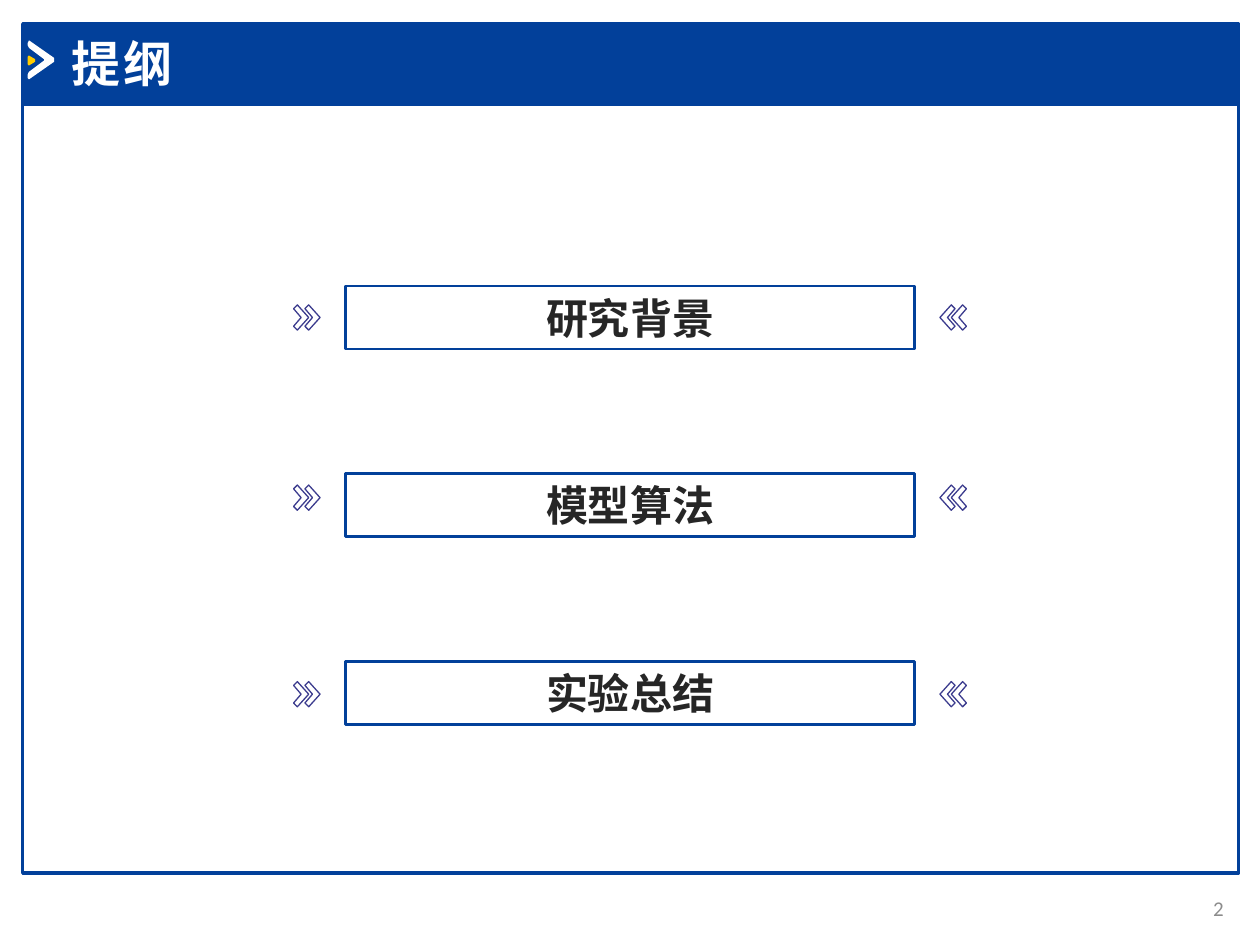
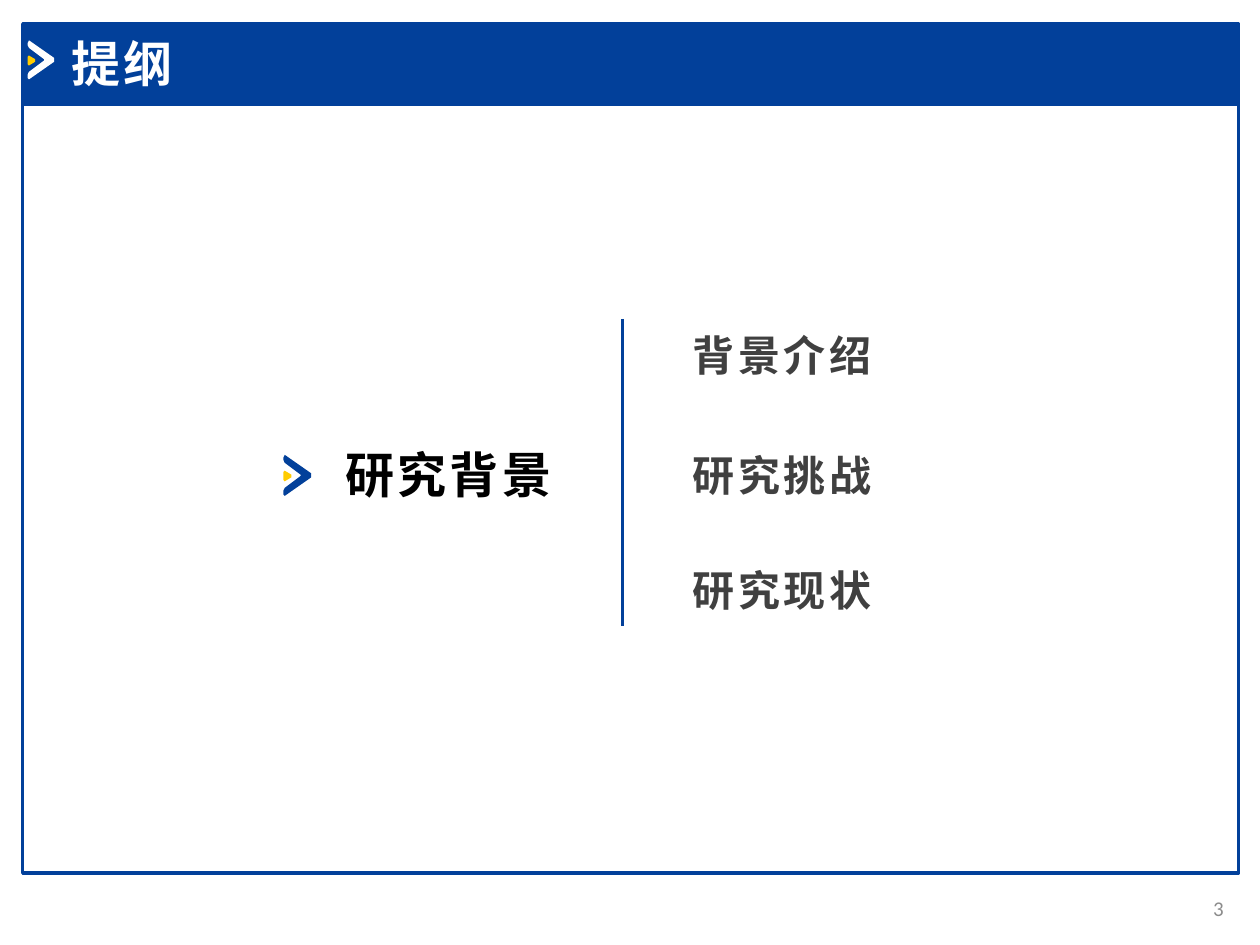
from lxml.etree import SubElement
from pptx import Presentation
from pptx.dml.color import RGBColor
from pptx.enum.shapes import MSO_CONNECTOR, MSO_SHAPE
from pptx.enum.text import MSO_ANCHOR, PP_ALIGN
from pptx.oxml.ns import qn
from pptx.util import Inches, Pt

BLUE, YELLOW, WHITE = "02409A", "FFCC00", "FFFFFF"
VIOLET, DARK, GREY, PALE = "3C3C8E", "262626", "404040", "8C8C8C"
CJK = "Noto Sans CJK SC"
WIDTH, HEIGHT = 10, 7.5

# Outlines in inches from the top left corner of each mark
ARROW = [(.01, 0), (0, .02), (0, .04), (.01, .06), (.13, .15), (.13, .16),
         (.01, .25), (0, .27), (0, .3), (.01, .31), (.21, .17), (.21, .14)]
ARROW_CORE = [(.01, .12), (0, .13), (0, .19), (.01, .2), (.06, .17), (.06, .15)]
CHEVRON = [(.03, 0), (0, .03), (.06, .1), (0, .17), (.03, .2), (.12, .1)]

TITLE = {"size": 28, "color": WHITE, "name": "Calibri", "bold": True, "spacing": 2}
NUMBER = {"size": 12, "color": PALE, "name": "Calibri"}
BOX = {"size": 24, "color": DARK, "name": CJK, "bold": True}
TOPIC = {"size": 28, "color": "000000", "name": CJK, "bold": True, "spacing": 2}
ITEM = {"size": 24, "color": GREY, "name": CJK, "bold": True, "spacing": 2}


def rgb(color):
    return RGBColor.from_string(color)


class Deck:
    def __init__(self):
        self.prs = Presentation()
        self.prs.slide_width, self.prs.slide_height = Inches(WIDTH), Inches(HEIGHT)
        self.s = None

    def slide(self, title, number):
        self.s = self.prs.slides.add_slide(self.prs.slide_layouts[6])
        self.rect(.18, .83, 9.65, 6.1, line_width=2)
        self.rect(.18, .19, 9.65, .64, fill=BLUE, line_width=2)
        self.arrow(.22, .32, WHITE)
        self.text(.47, .22, 3.56, .57, title, TITLE)
        self.text(9.22, 7.01, .59, .4, str(number), NUMBER,
                  PP_ALIGN.RIGHT, MSO_ANCHOR.MIDDLE)

    def paint(self, sp, fill=None, line=None, line_width=1.0):
        sp.shadow.inherit = False
        for part, color in ((sp.fill, fill), (sp.line.fill, line)):
            if color:
                part.solid()
                part.fore_color.rgb = rgb(color)
            else:
                part.background()
        if line:
            sp.line.width = Pt(line_width)

    def rect(self, x, y, w, h, fill=None, line_width=1.5):
        sp = self.s.shapes.add_shape(
            MSO_SHAPE.RECTANGLE, Inches(x), Inches(y), Inches(w), Inches(h))
        self.paint(sp, fill, BLUE, line_width)
        return sp

    def outline(self, points, **look):
        (x, y), *rest = [(Inches(px), Inches(py)) for px, py in points]
        builder = self.s.shapes.build_freeform(x, y)
        builder.add_line_segments(rest, close=True)
        self.paint(builder.convert_to_shape(), **look)

    def arrow(self, x, y, color, scale=1.0):
        for points, fill in ((ARROW, color), (ARROW_CORE, YELLOW)):
            self.outline([(x + scale * px, y + scale * py) for px, py in points],
                         fill=fill)

    def chevrons(self, y):
        """Draw a double chevron on the left and its mirror image on the right."""
        for x in (2.33, 2.42):
            left = [(x + px, y + py) for px, py in CHEVRON]
            right = [(WIDTH - px, py) for px, py in left]
            for points in (left, right):
                self.outline(points, line=VIOLET, line_width=.75)

    def set_text(self, sp, text, style, align=PP_ALIGN.LEFT, anchor=MSO_ANCHOR.TOP):
        tf = sp.text_frame
        tf.word_wrap = True
        tf.vertical_anchor = anchor
        p = tf.paragraphs[0]
        p.alignment = align
        r = p.add_run()
        r.text = text
        r.font.color.rgb = rgb(style["color"])
        values = {"size": Pt(style["size"]), "name": style["name"],
                  "bold": style.get("bold", False)}
        for key, value in values.items():
            setattr(r.font, key, value)
        rPr = r._r.get_or_add_rPr()
        SubElement(rPr, qn("a:ea")).set("typeface", CJK)
        if "spacing" in style:
            rPr.set("spc", str(style["spacing"] * 100))

    def text(self, x, y, w, h, text, style, *layout):
        sp = self.s.shapes.add_textbox(Inches(x), Inches(y), Inches(w), Inches(h))
        self.set_text(sp, text, style, *layout)

    def box(self, y, text):
        self.set_text(self.rect(2.74, y, 4.52, .5), text, BOX, PP_ALIGN.CENTER)

    def line(self, x1, y1, x2, y2):
        sp = self.s.shapes.add_connector(
            MSO_CONNECTOR.STRAIGHT, Inches(x1), Inches(y1), Inches(x2), Inches(y2))
        sp.line.color.rgb = rgb(BLUE)
        sp.line.width = Pt(1.5)
        SubElement(sp._element.spPr, qn("a:effectLst"))


def outline_slide(deck):
    deck.slide("提纲", 2)
    sections = (("研究背景", 2.42), ("模型算法", 3.85), ("实验总结", 5.41))
    for i, (section, chevron_y) in enumerate(sections):
        deck.box(2.27 + i * 1.49, section)
        deck.chevrons(chevron_y)


def background_slide(deck):
    deck.slide("提纲", 3)
    deck.text(2.64, 3.48, 2.15, .57, "研究背景", TOPIC)
    deck.arrow(2.25, 3.61, BLUE, scale=1.05)
    deck.line(4.94, 2.53, 4.94, 4.97)
    for item, y in (("背景介绍", 2.57), ("研究挑战", 3.52), ("研究现状", 4.43)):
        deck.text(5.4, y, 2.48, .5, item, ITEM)


def main():
    deck = Deck()
    outline_slide(deck)
    background_slide(deck)
    deck.prs.save("out.pptx")


if __name__ == "__main__":
    main()
